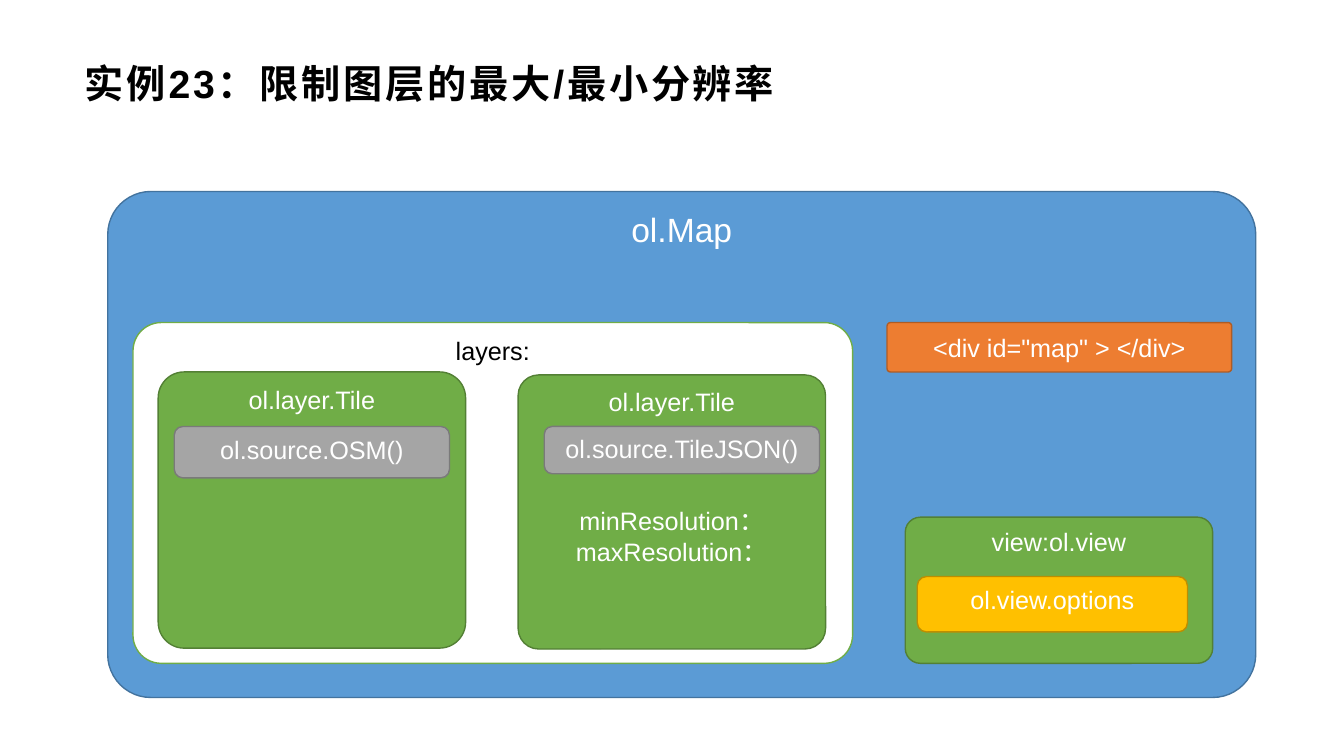
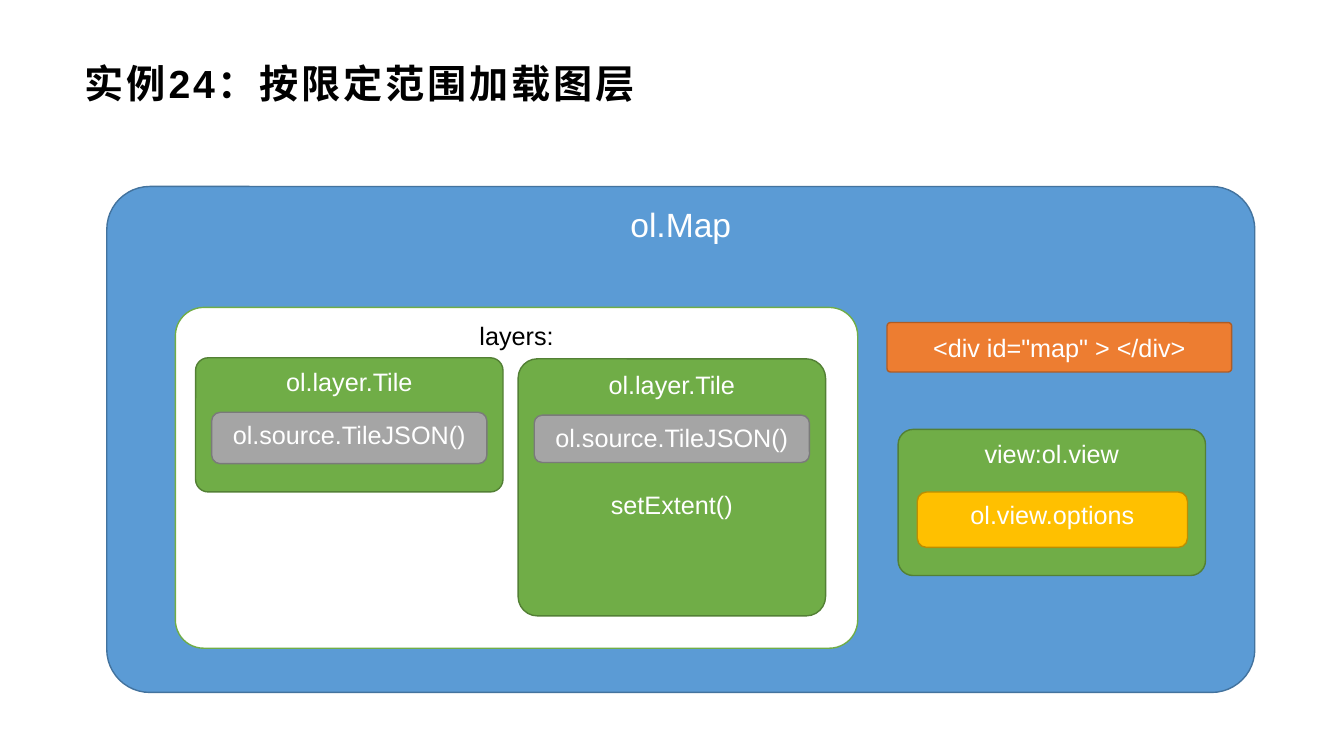
from dataclasses import dataclass

from pptx import Presentation
from pptx.dml.color import RGBColor
from pptx.enum.shapes import MSO_SHAPE
from pptx.enum.text import MSO_ANCHOR, PP_ALIGN
from pptx.util import Pt


@dataclass(frozen=True)
class Theme:
    """Colours, type sizes and font shared by both slides."""
    font: str = "Arial"
    title_size: int = 28
    map_size: int = 24
    body_size: int = 18
    black: str = "000000"
    white: str = "FFFFFF"
    # Fill and outline of each kind of block
    blue: tuple = ("5B9BD5", "43739E")
    orange: tuple = ("ED7D31", "AF5C24")
    green: tuple = ("70AD47", "538035")
    panel: tuple = ("FFFFFF", "70AD47")
    grey: tuple = ("A5A5A5", "7A7A7A")
    gold: tuple = ("FFC000", "BD8E00")


theme = Theme()


def write(frame, text, size=theme.body_size, color=theme.white, bold=False,
          align=PP_ALIGN.CENTER, anchor=MSO_ANCHOR.TOP, spacing=0, gap=0):
    """Fill a text frame, one paragraph a line; gap follows the first line."""
    frame.word_wrap = True
    frame.vertical_anchor = anchor
    for index, line in enumerate(text.split("\n")):
        para = frame.add_paragraph() if index else frame.paragraphs[0]
        para.alignment = align
        if index == 1:
            para.space_before = Pt(gap)
        span = para.add_run()
        span.text = line
        span.font.name = theme.font
        span.font.size = Pt(size)
        span.font.bold = bold
        span.font.color.rgb = RGBColor.from_string(color)
        properties = span.font._element
        properties.set("lang", "zh-CN")
        if spacing:
            properties.set("spc", str(spacing * 100))


def add_block(page, place, colors, text, corner=0.167, **text_format):
    """Add a labelled rounded block at (left, top, width, height)."""
    block = page.shapes.add_shape(MSO_SHAPE.ROUNDED_RECTANGLE, *map(Pt, place))
    block.adjustments[0] = corner
    block.shadow.inherit = False
    fill, outline = colors
    block.fill.solid()
    block.fill.fore_color.rgb = RGBColor.from_string(fill)
    block.line.color.rgb = RGBColor.from_string(outline)
    block.line.width = Pt(1)
    write(block.text_frame, text, **text_format)


deck = Presentation()
deck.slide_width, deck.slide_height = Pt(960), Pt(540)

tile_width = 219.6
source_width = 196.6

examples = [
    dict(title="实例23：限制图层的最大/最小分辨率",
         map=(77, 136.8), view=(646.6, 369.4), options_top=411.8,
         layers=(95, 230.4, 514, 243.4),
         base_tile=(113, 265.7), base_height=197.3, base_source="ol.source.OSM()",
         top_tile=(370.1, 267.8), top_height=195.8, top_source=(388.8, 304.6),
         settings="minResolution：\nmaxResolution："),
    dict(title="实例24：按限定范围加载图层",
         map=(76.3, 133.2), view=(641.5, 306.7), options_top=351.4,
         layers=(125.3, 219.6, 487.4, 243.4),
         base_tile=(139.7, 255.6), base_height=95.8, base_source="ol.source.TileJSON()",
         top_tile=(370.1, 256.3), top_height=183.6, top_source=(381.6, 296.6),
         settings="setExtent()"),
]

for example in examples:
    page = deck.slides.add_slide(deck.slide_layouts[6])

    title = page.shapes.add_textbox(Pt(52.6), Pt(33.8), Pt(854.6), Pt(51.1)).text_frame
    title.margin_left, title.margin_right = Pt(7.9), Pt(5.8)
    title.margin_top = title.margin_bottom = Pt(2.9)
    write(title, example["title"], size=theme.title_size, color=theme.black, bold=True,
          align=PP_ALIGN.LEFT, anchor=MSO_ANCHOR.MIDDLE, spacing=2)

    add_block(page, (*example["map"], 820, 361.4), theme.blue, "ol.Map",
              corner=0.085, size=theme.map_size)
    add_block(page, (633.6, 230.4, 246.2, 35.3), theme.orange,
              '<div id="map" > </div>', corner=0.069, anchor=MSO_ANCHOR.MIDDLE)

    add_block(page, (*example["view"], tile_width, 104.4), theme.green,
              "view:ol.view", corner=0.103)
    add_block(page, (655.2, example["options_top"], 193, 39.6), theme.gold,
              "ol.view.options")

    add_block(page, example["layers"], theme.panel, "layers:",
              corner=0.083, color=theme.black)

    left, top = example["base_tile"]
    add_block(page, (left, top, tile_width, example["base_height"]), theme.green,
              "ol.layer.Tile", corner=0.094)
    add_block(page, (left + (tile_width - source_width) / 2, top + 38.9,
                     source_width, 36.7), theme.grey, example["base_source"])

    add_block(page, (*example["top_tile"], tile_width, example["top_height"]),
              theme.green, "ol.layer.Tile\n" + example["settings"],
              corner=0.075, gap=64)
    add_block(page, (*example["top_source"], source_width, 33.8), theme.grey,
              "ol.source.TileJSON()")

deck.save("out.pptx")
